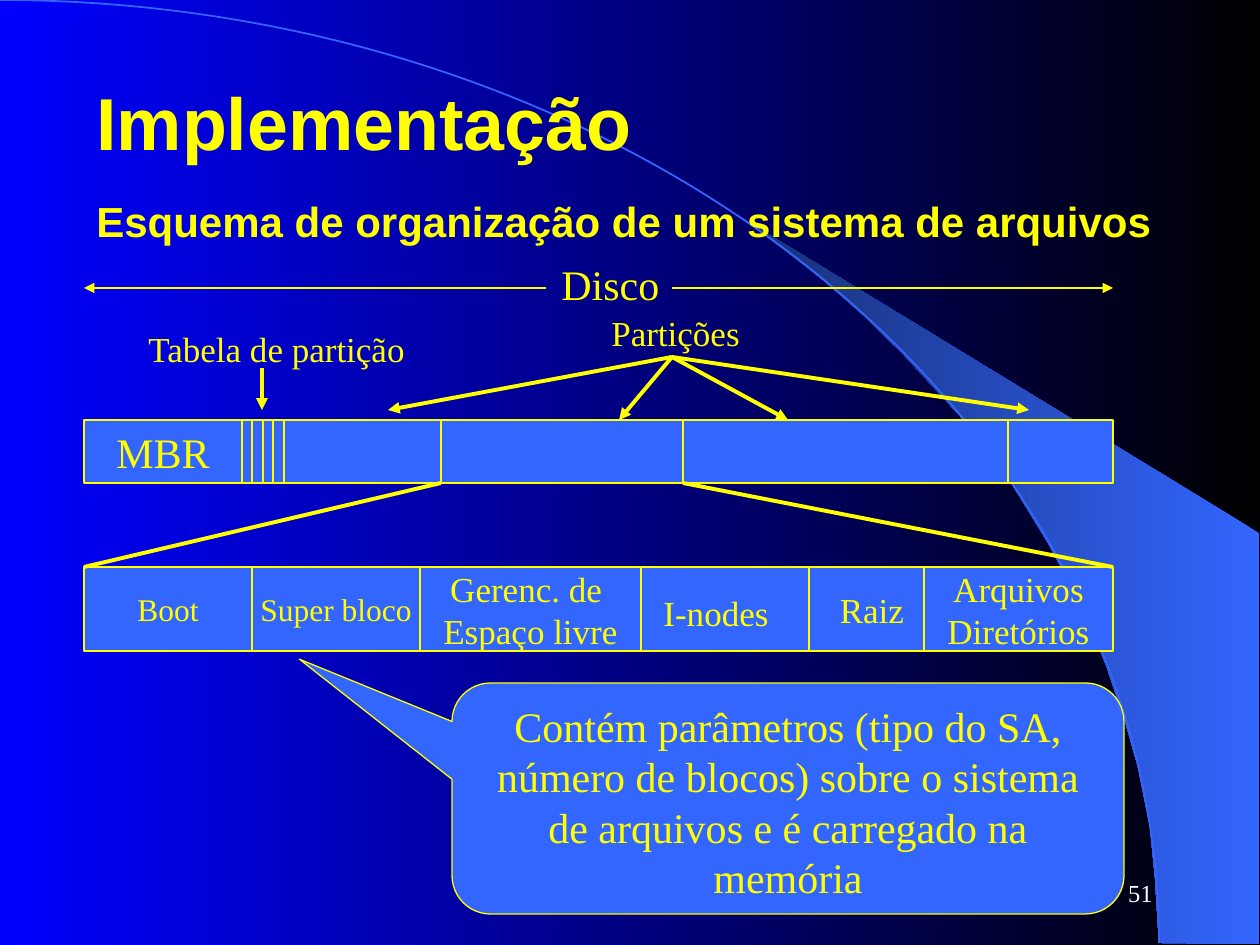
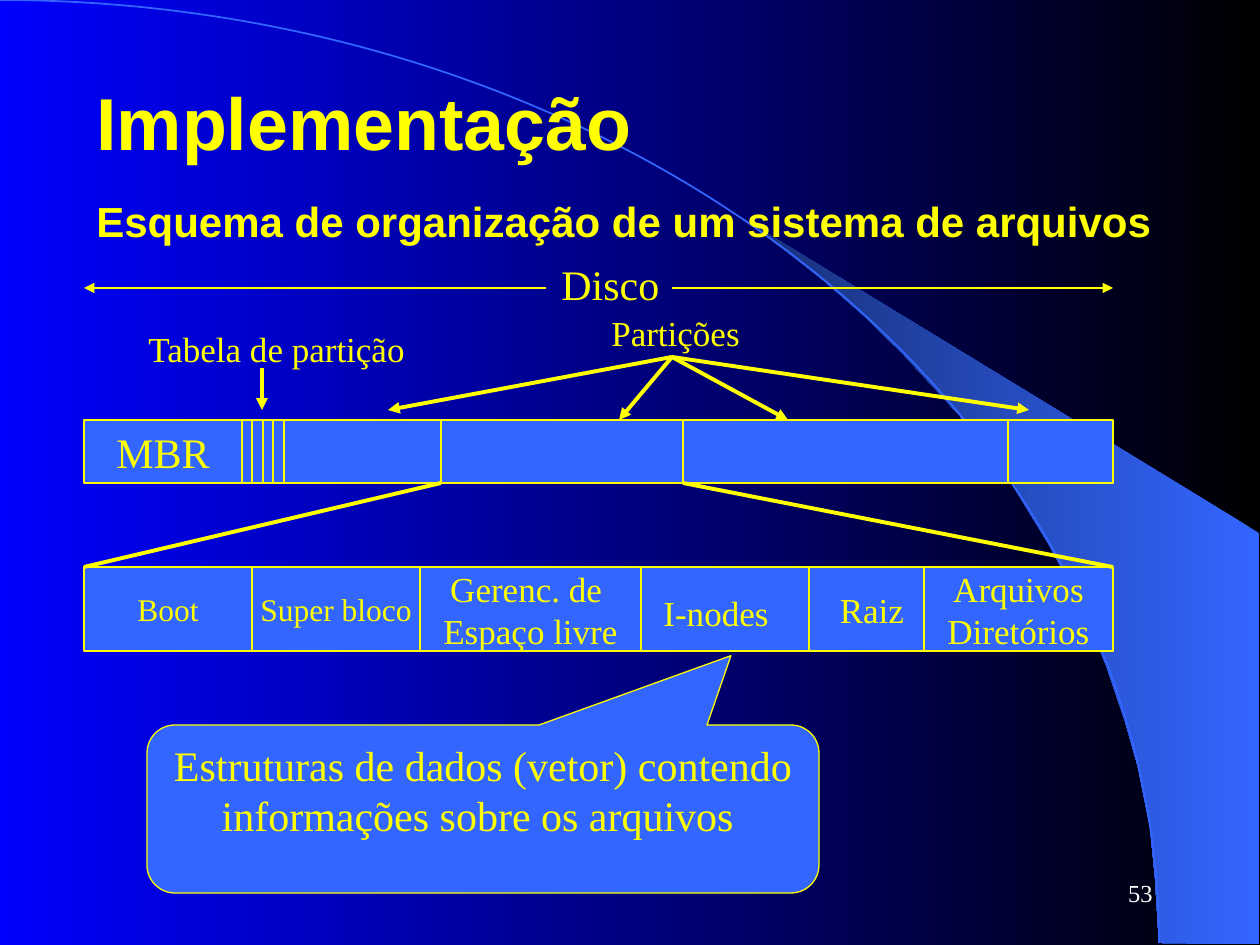
from itertools import pairwise

from lxml import etree
from pptx import Presentation
from pptx.dml.color import RGBColor
from pptx.enum.shapes import MSO_CONNECTOR, MSO_SHAPE
from pptx.enum.text import MSO_ANCHOR, MSO_AUTO_SIZE, PP_ALIGN
from pptx.oxml.ns import qn
from pptx.util import Emu, Pt

EMU_PER_PX = 914400 / 126
YELLOW = RGBColor(0xFF, 0xFF, 0x00)
BLUE = RGBColor(0x33, 0x66, 0xFF)
DARK_BLUE = RGBColor(0x17, 0x2F, 0x75)
PURE_BLUE = RGBColor(0x00, 0x00, 0xFF)
BLACK = RGBColor(0x00, 0x00, 0x00)
WHITE = RGBColor(0xFF, 0xFF, 0xFF)
SERIF = "Times New Roman"

TITLE = "Implementação"
SUBTITLE = "Esquema de organização de um sistema de arquivos"
SLIDES = [
    {"number": "51", "box": (452, 683, 672, 231), "pointer": (-0.727, -0.603),
     "text": "Contém parâmetros (tipo do SA, número de blocos) sobre o sistema "
             "de arquivos e é carregado na memória"},
    {"number": "53", "box": (147, 725, 672, 168), "pointer": (0.369, -0.913),
     "text": "Estruturas de dados (vetor) contendo informações sobre os arquivos "},
]

# Text, box and size of the labels around the disk
LABELS = [
    ("Disco", (549, 252, 123, 63), 24),
    ("Tabela de partição", (136, 321, 284, 55), 20),
    ("Partições", (599, 305, 154, 55), 20),
]
INODES_LABEL = ("I-nodes", (651, 585, 130, 55), 20)

LEFT, RIGHT = 84, 1113
DISK_TOP, DISK_HEIGHT = 420, 63
DISK_EDGES = [LEFT, 242, 252, 263, 273, 284, 441, 683, 1008, RIGHT]
PARTITION_TOP, PARTITION_HEIGHT = 567, 84
# Left, width, text and size, from back to front
PARTITION_PARTS = [
    (LEFT, 168, "Boot", 18),
    (809, 126, "Raiz", 20),
    (641, 168, "", 20),
    (420, 221, "Gerenc. de \nEspaço livre", 20),
    (252, 168, "Super bloco", 18),
    (924, 189, "Arquivos\nDiretórios", 20),
]

DISK_SPAN_Y = 288
FAN_START = (672, 357)
FAN_ENDS = [(388, 410), (619, 420), (788, 420), (1029, 410)]
BAND_POINTS = [
    (1159, 943), (1259, 944), (1259, 533), (742, 218), (786, 251), (823, 280),
    (863, 315), (902, 353), (960, 416), (1012, 484), (1048, 543), (1081, 604),
    (1106, 665), (1125, 721), (1138, 767), (1150, 827), (1155, 877),
]
ARC_BOX = (-1159, 0, 2318, 1886)


def px(*values):
    return [Emu(round(value * EMU_PER_PX)) for value in values]


def set_gradient(fill, *colours):
    fill.gradient()
    fill.gradient_angle = 180
    for stop, colour in zip(fill.gradient_stops, colours):
        stop.color.rgb = colour


def write(shape, text, size, frame_format, alignment=PP_ALIGN.LEFT, **font_format):
    """Fill a shape with one paragraph per line of text."""
    frame = shape.text_frame
    for name, value in frame_format.items():
        setattr(frame, name, value)
    font_format = {"name": SERIF, "size": Pt(size)} | font_format
    colour = font_format.pop("colour", YELLOW)
    for index, line in enumerate(text.split("\n")):
        paragraph = frame.add_paragraph() if index else frame.paragraphs[0]
        paragraph.alignment = alignment
        run = paragraph.add_run()
        run.text = line
        run.font.color.rgb = colour
        for name, value in font_format.items():
            setattr(run.font, name, value)


def add_text(slide, text, box, size, frame_format, **options):
    write(slide.shapes.add_textbox(*px(*box)), text, size, frame_format, **options)


def add_label(slide, text, box, size):
    add_text(slide, text, box, size,
             {"word_wrap": False, "auto_size": MSO_AUTO_SIZE.SHAPE_TO_FIT_TEXT})


def add_block(slide, kind, box):
    shape = slide.shapes.add_shape(kind, *px(*box))
    shape.shadow.inherit = False
    shape.fill.solid()
    shape.fill.fore_color.rgb = BLUE
    shape.line.color.rgb = YELLOW
    shape.line.width = Pt(0.75)
    return shape


def add_cell(slide, box, text="", size=24):
    cell = add_block(slide, MSO_SHAPE.RECTANGLE, box)
    if text:
        write(cell, text, size,
              {"word_wrap": False, "vertical_anchor": MSO_ANCHOR.MIDDLE},
              PP_ALIGN.CENTER)


def add_line(slide, start, end, width=2.25, arrow=True):
    line = slide.shapes.add_connector(MSO_CONNECTOR.STRAIGHT, *px(*start, *end))
    line.line.color.rgb = YELLOW
    line.line.width = Pt(width)
    if arrow:
        etree.SubElement(line.line._get_or_add_ln(), qn("a:tailEnd"), type="triangle")
    etree.SubElement(line._element.spPr, qn("a:effectLst"))


def add_backdrop(slide):
    set_gradient(slide.background.fill, BLACK, PURE_BLUE)
    builder = slide.shapes.build_freeform(*BAND_POINTS[0], scale=EMU_PER_PX)
    builder.add_line_segments(BAND_POINTS[1:], close=True)
    band = builder.convert_to_shape()
    band.shadow.inherit = False
    set_gradient(band.fill, BLUE, DARK_BLUE)
    band.line.fill.background()
    arc = slide.shapes.add_shape(MSO_SHAPE.ARC, *px(*ARC_BOX))
    arc.shadow.inherit = False
    arc.fill.background()
    arc.line.color.rgb = BLUE
    arc.line.width = Pt(1)


def add_headings(slide, number):
    middle = {"word_wrap": True, "vertical_anchor": MSO_ANCHOR.MIDDLE}
    add_text(slide, TITLE, (84, 42, 1134, 158), 42, middle, name="Arial", bold=True)
    add_text(slide, SUBTITLE, (84, 189, 1124, 63), 24,
             {"word_wrap": True, "auto_size": MSO_AUTO_SIZE.SHAPE_TO_FIT_TEXT},
             name="Arial", bold=True)
    add_text(slide, number, (903, 861, 262, 63), 14, middle,
             alignment=PP_ALIGN.RIGHT, colour=WHITE)


def add_disk(slide):
    for label in LABELS:
        add_label(slide, *label)
    for start, end in ((546, LEFT), (672, RIGHT)):
        add_line(slide, (start, DISK_SPAN_Y), (end, DISK_SPAN_Y), 1.5)
    for index, (left, right) in enumerate(pairwise(DISK_EDGES)):
        add_cell(slide, (left, DISK_TOP, right - left, DISK_HEIGHT),
                 "" if index else "MBR")
    add_line(slide, (262, 368), (262, 410))
    for end in FAN_ENDS:
        add_line(slide, FAN_START, end)


def add_partition(slide):
    for left, width, text, size in PARTITION_PARTS:
        add_cell(slide, (left, PARTITION_TOP, width, PARTITION_HEIGHT), text, size)
    for disk_x, partition_x in zip(DISK_EDGES[6:8], (LEFT, RIGHT)):
        add_line(slide, (disk_x, DISK_TOP + DISK_HEIGHT),
                 (partition_x, PARTITION_TOP), arrow=False)
    add_label(slide, *INODES_LABEL)


def add_callout(slide, box, pointer, text):
    callout = add_block(slide, MSO_SHAPE.ROUNDED_RECTANGULAR_CALLOUT, box)
    for index, value in enumerate(pointer):
        callout.adjustments[index] = value
    write(callout, text, 24,
          {"word_wrap": True, "vertical_anchor": MSO_ANCHOR.TOP}, PP_ALIGN.CENTER)


def main():
    presentation = Presentation()
    presentation.slide_width, presentation.slide_height = px(1260, 945)
    for content in SLIDES:
        slide = presentation.slides.add_slide(presentation.slide_layouts[6])
        add_backdrop(slide)
        add_disk(slide)
        add_partition(slide)
        add_callout(slide, content["box"], content["pointer"], content["text"])
        add_headings(slide, content["number"])
    presentation.save("out.pptx")


if __name__ == "__main__":
    main()
